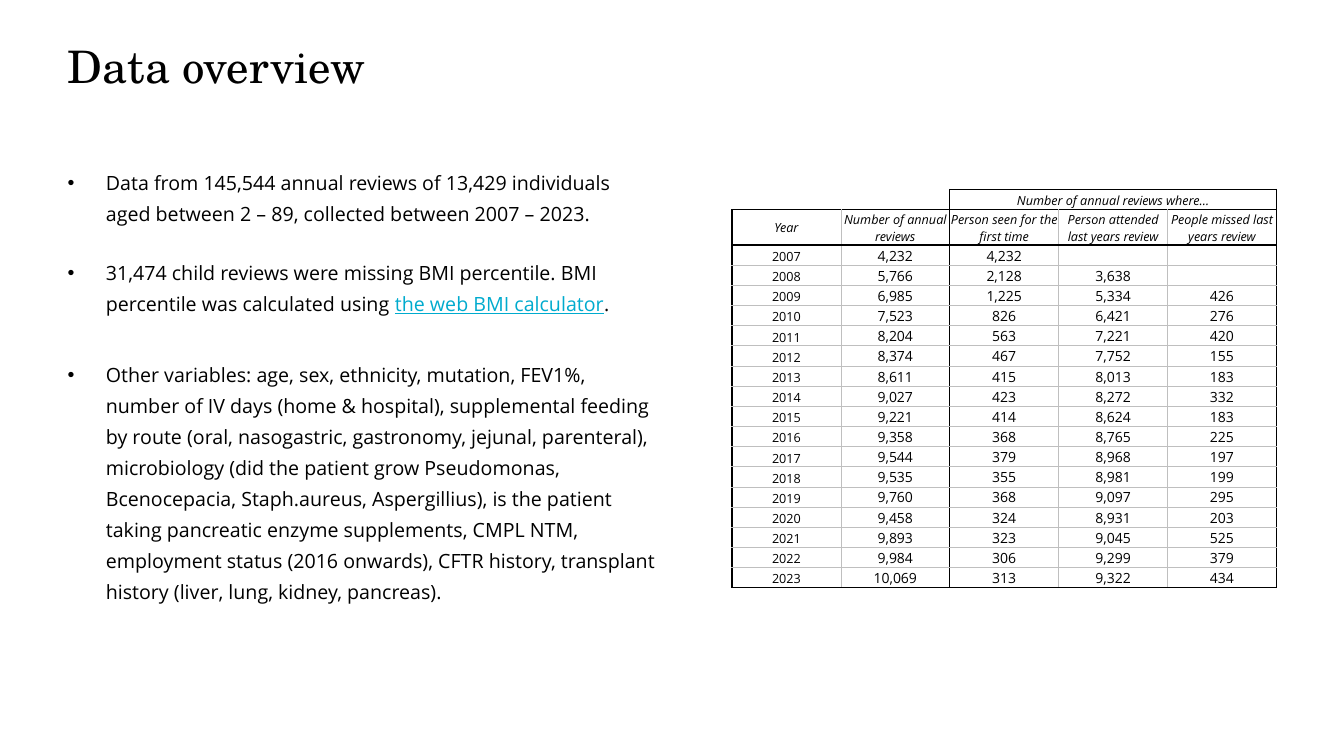
"""Build the data overview slide with its bullet list and annual review table."""
from dataclasses import dataclass

from lxml import etree
from pptx import Presentation
from pptx.dml.color import RGBColor
from pptx.enum.text import MSO_ANCHOR, PP_ALIGN
from pptx.oxml.ns import qn
from pptx.util import Inches, Pt

CENTER = PP_ALIGN.CENTER
TOP, MIDDLE, BOTTOM = MSO_ANCHOR.TOP, MSO_ANCHOR.MIDDLE, MSO_ANCHOR.BOTTOM
BLACK, GRAY, LINK = "000000", "BFBFBF", "00ABCE"
SERIF, SANS = "TeX Gyre Schola", "Open Sans"
HEAVY, THIN = (BLACK, 1), (GRAY, 0.5)


@dataclass
class Span:
    text: str
    color: str = BLACK
    underline: bool = False


@dataclass
class Bullet:
    spans: list[Span]
    before: float = 0


BULLETS = [
    Bullet([Span("Data from 145,544 annual reviews of 13,429 individuals aged "
                 "between 2 – 89, collected between 2007 – 2023.")]),
    Bullet([Span("31,474 child reviews were missing BMI percentile. BMI "
                 "percentile was calculated using "),
            Span("the web BMI calculator", LINK, True),
            Span(".")], 20),
    Bullet([Span("Other variables: age, sex, ethnicity, mutation, FEV1%, number of "
                 "IV days (home & hospital), supplemental feeding by route (oral, "
                 "nasogastric, gastronomy, jejunal, parenteral), microbiology (did "
                 "the patient grow Pseudomonas, Bcenocepacia, Staph.aureus, "
                 "Aspergillius), is the patient taking pancreatic enzyme "
                 "supplements, CMPL NTM, employment status (2016 onwards), CFTR "
                 "history, transplant history (liver, lung, kidney, "
                 "pancreas).")], 28.5),
]

GROUP_HEADING = "Number of annual reviews where…"
HEADINGS = ["Year", "Number of annual reviews", "Person seen for the first time",
            "Person attended last years review", "People missed last years review"]
FIRST_YEAR = 2007
REVIEWS = [
    (4232, 4232, None, None), (5766, 2128, 3638, None), (6985, 1225, 5334, 426),
    (7523, 826, 6421, 276), (8204, 563, 7221, 420), (8374, 467, 7752, 155),
    (8611, 415, 8013, 183), (9027, 423, 8272, 332), (9221, 414, 8624, 183),
    (9358, 368, 8765, 225), (9544, 379, 8968, 197), (9535, 355, 8981, 199),
    (9760, 368, 9097, 295), (9458, 324, 8931, 203), (9893, 323, 9045, 525),
    (9984, 306, 9299, 379), (10069, 313, 9322, 434),
]
GROUP_COL = 2
HEAVY_COLS = {0, GROUP_COL, len(HEADINGS)}
HEAVY_ROWS = {0, 1, 2, len(REVIEWS) + 2}


def rgb(value: str) -> RGBColor:
    return RGBColor.from_string(value)


def add_run(p, text: str, size: float, font: str = SANS, color: str = BLACK,
            italic: bool = False, underline: bool = False) -> None:
    r = p.add_run()
    r.text = text
    r.font.name = font
    r.font.size = Pt(size)
    r.font.color.rgb = rgb(color)
    r.font.italic = italic
    r.font.underline = underline


def add_text_box(s, left: float, top: float, width: float, height: float, anchor):
    tf = s.shapes.add_textbox(Inches(left), Inches(top),
                              Inches(width), Inches(height)).text_frame
    tf.word_wrap = True
    tf.vertical_anchor = anchor
    tf.margin_left = tf.margin_right = tf.margin_top = tf.margin_bottom = 0
    return tf


def add_bullet(p, bullet: Bullet) -> None:
    p.line_spacing = 1.32
    p.space_before = Pt(bullet.before)
    pPr = p._p.get_or_add_pPr()
    pPr.set("marL", str(Inches(0.38)))
    pPr.set("indent", str(Inches(-0.38)))
    etree.SubElement(pPr, qn("a:buFont")).set("typeface", "Arial")
    etree.SubElement(pPr, qn("a:buChar")).set("char", "•")
    for span in bullet.spans:
        add_run(p, span.text, 14, color=span.color, underline=span.underline)


def edge_style(row: int, col: int, side: str) -> tuple[str, float] | None:
    """Return colour and width of one cell edge, or None for no line."""
    if row == 0 and col < GROUP_COL:
        heavy = side == "B" or (side == "R" and col + 1 == GROUP_COL)
        return HEAVY if heavy else None
    if side in "LR":
        heavy = row == 0 or col + (side == "R") in HEAVY_COLS
    else:
        heavy = row + (side == "B") in HEAVY_ROWS
    return HEAVY if heavy else THIN


def draw_borders(cell, row: int, col: int) -> None:
    tcPr = cell._tc.get_or_add_tcPr()
    for side in "LRTB":
        ln = etree.SubElement(tcPr, qn(f"a:ln{side}"))
        style = edge_style(row, col, side)
        if style is None:
            ln.set("w", "0")
            etree.SubElement(ln, qn("a:noFill"))
            continue
        color, width = style
        ln.set("w", str(Pt(width)))
        fill = etree.SubElement(ln, qn("a:solidFill"))
        etree.SubElement(fill, qn("a:srgbClr")).set("val", color)


def fill_cell(cell, row: int, col: int, text: str) -> None:
    draw_borders(cell, row, col)
    cell.fill.background()
    cell.margin_left = cell.margin_right = cell.margin_top = Inches(0.01)
    cell.margin_bottom = 0
    cell.vertical_anchor = MIDDLE if (row, col) == (1, 0) else BOTTOM
    p = cell.text_frame.paragraphs[0]
    p.alignment = CENTER
    if text:
        add_run(p, text, 10 if row > 1 and col > 0 else 9, italic=row < 2)
    else:
        p._p.get_or_add_endParaRPr().set("sz", "900")


def add_review_table(s) -> None:
    rows = [["", "", GROUP_HEADING, "", ""], HEADINGS]
    for year, counts in enumerate(REVIEWS, FIRST_YEAR):
        rows.append([str(year)] + ["" if n is None else f"{n:,}" for n in counts])
    table = s.shapes.add_table(len(rows), len(HEADINGS), Inches(7.26), Inches(1.88),
                               Inches(5.4), Inches(3.95)).table
    table.first_row = table.horz_banding = False
    for column in table.columns:
        column.width = Inches(1.08)
    for i, texts in enumerate(rows):
        table.rows[i].height = Inches(0.35 if i == 1 else 0.2)
        for j, text in enumerate(texts):
            fill_cell(table.cell(i, j), i, j, text)
    table.cell(0, GROUP_COL).merge(table.cell(0, len(HEADINGS) - 1))


def main() -> None:
    prs = Presentation()
    prs.slide_width, prs.slide_height = Inches(13.33), Inches(7.5)
    s = prs.slides.add_slide(prs.slide_layouts[6])
    title = add_text_box(s, 0.67, 0.31, 9.78, 0.68, MIDDLE)
    add_run(title.paragraphs[0], "Data overview", 32, SERIF)
    body = add_text_box(s, 0.67, 1.62, 5.88, 5.13, TOP)
    for i, bullet in enumerate(BULLETS):
        add_bullet(body.add_paragraph() if i else body.paragraphs[0], bullet)
    add_review_table(s)
    prs.save("out.pptx")


if __name__ == "__main__":
    main()
